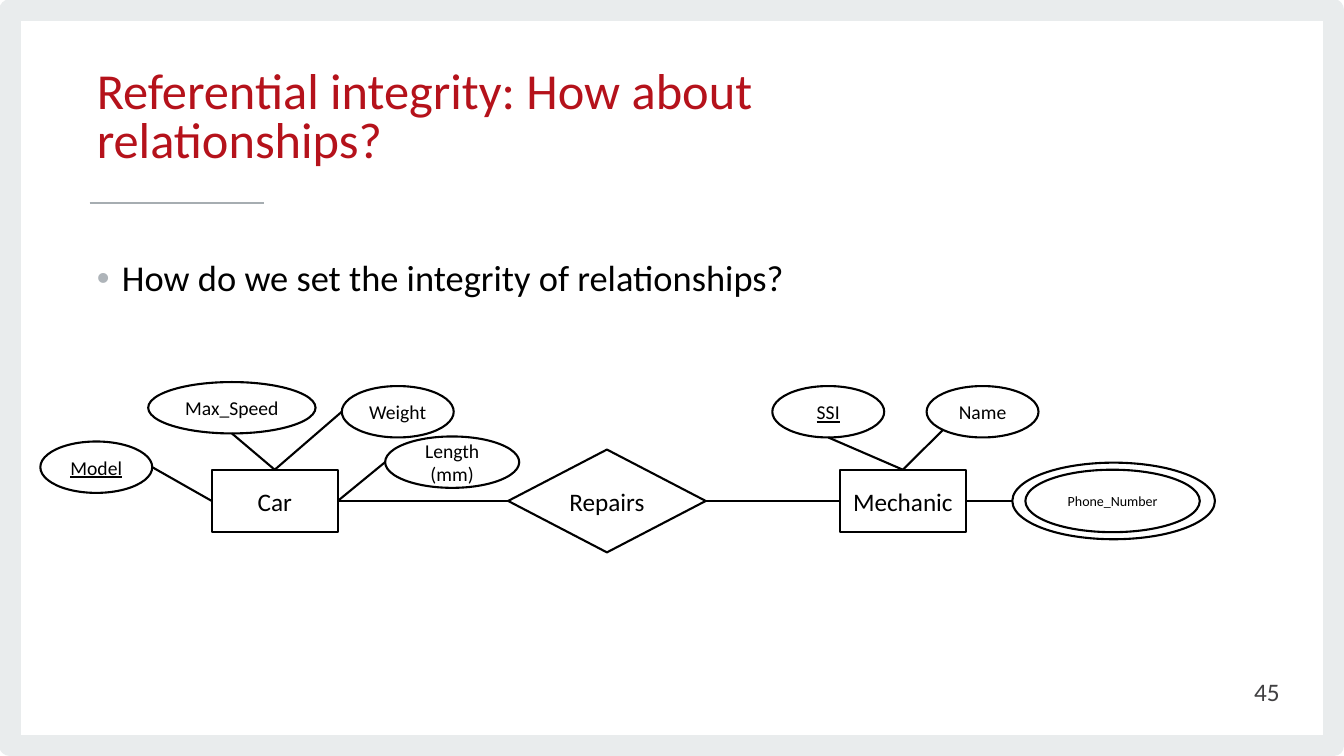
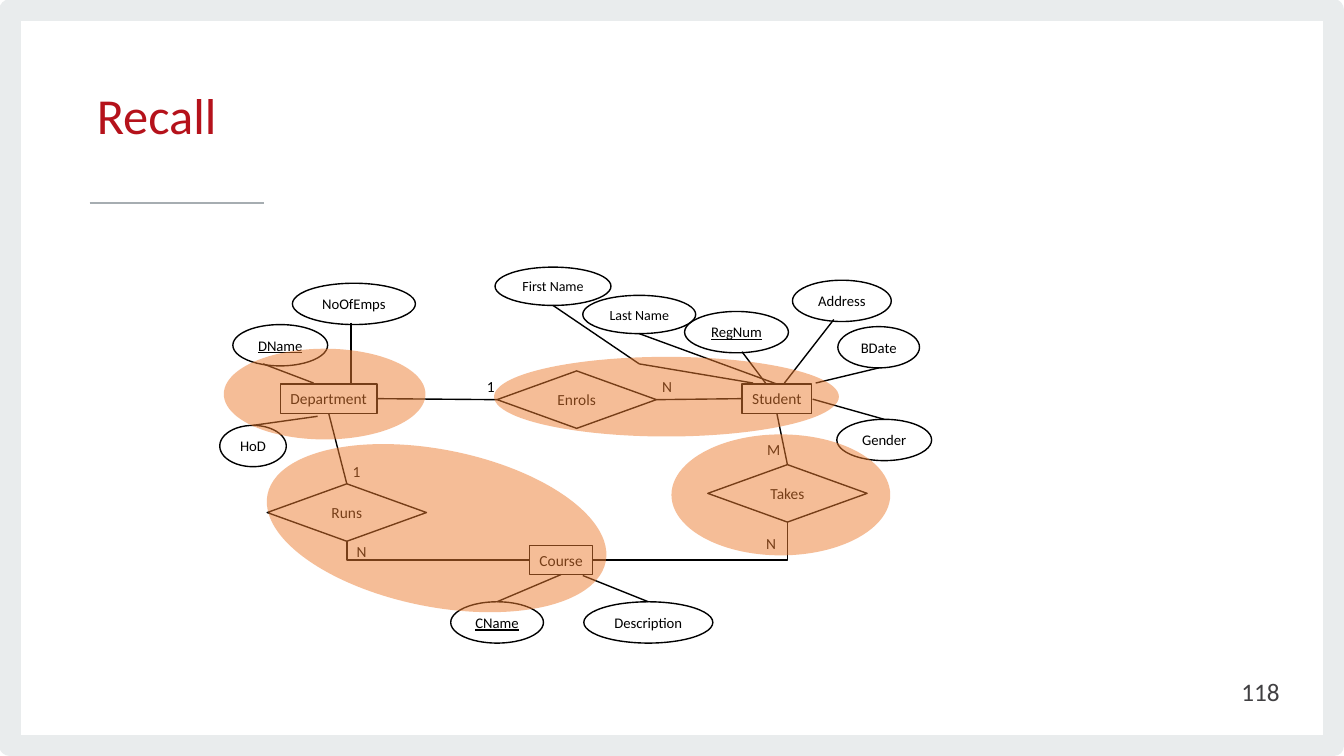
import math
from dataclasses import dataclass

from lxml import etree
from pptx import Presentation, util as u
from pptx.dml.color import RGBColor
from pptx.enum import shapes, text
from pptx.oxml.ns import qn


@dataclass(frozen=True)
class Theme:
    font: str = "Calibri"
    ink: str = "000000"
    paper: str = "FFFFFF"
    title: str = "B5121B"
    frame: str = "E9ECED"
    rule: str = "A6ADB1"
    bullet: str = "AEB4B9"
    number: str = "414042"
    highlight: str = "ED7D31"
    title_pt: float = 36
    body_pt: float = 26
    number_pt: float = 18


T = Theme()
W, H = 13.33, 7.5
TITLE_BOX = (0.86, 0.52, 9.02, 1.34)
BODY_BOX = (0.86, 2.53, 10.73, 4.22)
NUMBER_BOX = (9.79, 6.66, 3, 0.4)
KINDS = {
    "entity": shapes.MSO_SHAPE.RECTANGLE,
    "relation": shapes.MSO_SHAPE.DIAMOND,
    "decision": shapes.MSO_SHAPE.FLOWCHART_DECISION,
    "attribute": shapes.MSO_SHAPE.OVAL,
}
TOP, LEFT, BOTTOM, RIGHT = range(4)
O_TOP, O_LEFT, O_LOW_LEFT, O_BOTTOM, O_RIGHT = 0, 2, 3, 4, 6

REPAIRS = {
    "title": "Referential integrity: How about relationships?",
    "body": ["How do we set the integrity of relationships?"],
    "number": "45",
    "line_pt": 1.5,
    "fill": T.paper,
    "wrap": True,
    "sizes": {"entity": 18, "decision": 18, "attribute": 14},
    "keys": {"Model", "SSI"},
    "nodes": [
        ("decision", "Repairs", 5.04, 4.46, 1.96, 1.02),
        ("entity", "Car", 2.1, 4.66, 1.25, 0.62),
        ("entity", "Mechanic", 8.33, 4.66, 1.25, 0.62),
        ("attribute", "Model", 0.4, 4.38, 1.11, 0.51),
        ("attribute", "Weight", 3.39, 3.83, 1.11, 0.51),
        ("attribute", "Length (mm)", 3.82, 4.33, 1.33, 0.51),
        ("attribute", "Max_Speed", 1.47, 3.79, 1.66, 0.51),
        ("attribute", "SSI", 7.66, 3.83, 1.11, 0.51),
        ("attribute", "Name", 9.19, 3.83, 1.11, 0.51),
        ("attribute", "", 10.04, 4.59, 2.01, 0.76),
        ("attribute", "Phone_Number", 10.17, 4.66, 1.73, 0.62),
    ],
    "small": {"Phone_Number": 10},
    "links": [
        (("Model", O_RIGHT), ("Car", LEFT)),
        (("Max_Speed", O_BOTTOM), ("Car", TOP)),
        (("Weight", O_LEFT), ("Car", TOP)),
        (("Car", RIGHT), ("Length (mm)", O_LEFT)),
        (("SSI", O_BOTTOM), ("Mechanic", TOP)),
        (("Name", O_LOW_LEFT), ("Mechanic", TOP)),
        (("", O_LEFT), ("Mechanic", RIGHT)),
        (("Repairs", RIGHT), ("Mechanic", LEFT)),
        (("Car", RIGHT), ("Repairs", LEFT)),
    ],
}

RECALL = {
    "title": "Recall",
    "number": "118",
    "line_pt": 1,
    "fill": None,
    "wrap": False,
    "sizes": {"entity": 11, "relation": 11, "attribute": 10.5},
    "keys": {"CName", "DName", "RegNum"},
    "nodes": [
        ("entity", "Course", 5.25, 5.41, 0.63, 0.29),
        ("entity", "Department", 2.78, 3.81, 0.96, 0.29),
        ("entity", "Student", 7.36, 3.81, 0.69, 0.29),
        ("relation", "Enrols", 4.93, 3.68, 1.58, 0.57),
        ("relation", "Runs", 2.65, 4.8, 1.58, 0.57),
        ("relation", "Takes", 7.02, 4.61, 1.58, 0.57),
        ("attribute", "CName", 4.47, 5.97, 0.92, 0.41),
        ("attribute", "Description", 5.79, 5.97, 1.28, 0.41),
        ("attribute", "DName", 2.31, 3.22, 0.94, 0.41),
        ("attribute", "HoD", 2.18, 4.22, 0.66, 0.41),
        ("attribute", "NoOfEmps", 2.9, 2.81, 1.22, 0.41),
        ("attribute", "First Name", 4.91, 2.65, 1.15, 0.38),
        ("attribute", "Last Name", 5.78, 2.93, 1.12, 0.38),
        ("attribute", "RegNum", 6.79, 3.09, 1.03, 0.41),
        ("attribute", "Address", 7.86, 2.78, 0.98, 0.41),
        ("attribute", "BDate", 8.31, 3.24, 0.81, 0.41),
        ("attribute", "Gender", 8.3, 4.16, 0.94, 0.41),
    ],
    "small": {"First Name": 10, "Last Name": 10},
    "links": [
        (("Department", RIGHT), ("Enrols", LEFT)),
        (("Enrols", RIGHT), ("Student", LEFT)),
        (("Department", BOTTOM), ("Runs", TOP)),
        (("Student", BOTTOM), ("Takes", TOP)),
        (("CName", O_TOP), ("Course", BOTTOM)),
        ((5.78, 5.71), ("Description", O_TOP)),
        ((2.61, 3.61), (3.11, 3.8)),
        ((3.48, 3.2), (3.48, 3.8)),
        (("HoD", O_TOP), (3.15, 4.13)),
        (("First Name", O_BOTTOM), (6.34, 3.61)),
        ((6.34, 3.61), (7.47, 3.8)),
        (("Student", TOP), ("Last Name", O_BOTTOM)),
        ((7.36, 3.49), (7.6, 3.81)),
        ((8.27, 3.17), (7.78, 3.8)),
        (("BDate", O_BOTTOM), (8.09, 3.8)),
        (("Gender", O_TOP), (8.06, 3.96)),
    ],
    "bends": [
        (("Course", LEFT), ("Runs", BOTTOM)),
        (("Course", RIGHT), ("Takes", BOTTOM)),
    ],
    "counts": [
        ("1", 4.73, 3.69), ("N", 6.47, 3.69), ("1", 3.4, 4.53),
        ("N", 3.44, 5.32), ("M", 7.51, 4.31), ("N", 7.5, 5.24),
    ],
    "highlights": [
        (4.9, 3.54, 3.42, 0.79, 0),
        (6.66, 4.31, 2.17, 1.2, 0),
        (2.62, 4.46, 3.42, 1.56, 11.2),
        (2.22, 3.46, 2, 0.9, 0),
    ],
}


def inches(*values):
    return [u.Inches(v) for v in values]


def rgb(value):
    return RGBColor.from_string(value)


def write(sp, *lines, size, color=T.ink, align="CENTER", anchor="MIDDLE",
          wrap=True, underline=None, leading=None, before=None):
    tf = sp.text_frame
    tf.auto_size = text.MSO_AUTO_SIZE.NONE
    tf.word_wrap = wrap
    tf.vertical_anchor = getattr(text.MSO_ANCHOR, anchor)
    for i, line in enumerate(lines):
        p = tf.add_paragraph() if i else tf.paragraphs[0]
        p.alignment = getattr(text.PP_ALIGN, align)
        if leading:
            p.line_spacing = leading
        if before is not None:
            p.space_before = u.Pt(before)
        r = p.add_run()
        r.text = line
        f = r.font
        f.name, f.size, f.underline = T.font, u.Pt(size), underline
        f.color.rgb = rgb(color)
    return tf


def place(sp, box):
    sp.left, sp.top, sp.width, sp.height = inches(*box)


def outline(sp, color, pt):
    sp.line.color.rgb = rgb(color)
    sp.line.width = u.Pt(pt)


def add_shape(s, kind, box, fill=None):
    sp = s.shapes.add_shape(kind, *inches(*box))
    sp.shadow.inherit = False
    if fill:
        sp.fill.solid()
        sp.fill.fore_color.rgb = rgb(fill)
    else:
        sp.fill.background()
    return sp


def add_line(s, start, end, color, pt, bent=False):
    kind = shapes.MSO_CONNECTOR.ELBOW if bent else shapes.MSO_CONNECTOR.STRAIGHT
    line = s.shapes.add_connector(kind, *inches(*start, *end))
    outline(line, color, pt)
    pr = line.element.spPr
    etree.SubElement(pr, qn("a:effectLst"))
    if bent:
        pr.find(qn("a:prstGeom")).set("prst", "bentConnector2")
    return line


def dress_master(prs, s):
    inset = 0.1
    frame = add_shape(s, KINDS["entity"], (inset, inset, W - 2 * inset, H - 2 * inset))
    outline(frame, T.frame, 15.11)
    etree.SubElement(frame.element.spPr.find(qn("a:ln")), qn("a:round"))
    rule = add_line(s, (0.89, 2.01), (2.62, 2.01), T.rule, 1.33)
    for part in (frame, rule):
        prs.slide_master.shapes.element.append(part.element)


def add_bullets(sp, lines):
    place(sp, BODY_BOX)
    tf = write(sp, *lines, size=T.body_pt, align="LEFT", anchor="TOP",
               leading=0.9, before=10)
    for p in tf.paragraphs:
        pr = p.alignment is not None and p._p.get_or_add_pPr()
        pr.set("marL", str(u.Inches(0.25)))
        pr.set("indent", str(-u.Inches(0.25)))
        color = etree.SubElement(pr, qn("a:buClr"))
        etree.SubElement(color, qn("a:srgbClr"), val=T.bullet)
        etree.SubElement(pr, qn("a:buFont"), typeface="Arial")
        etree.SubElement(pr, qn("a:buChar"), char="•")


def site(node, index):
    kind, _, x, y, w, h = node
    turn = math.radians(90 + index * (45 if kind == "attribute" else 90))
    return x + w / 2 * (1 + math.cos(turn)), y + h / 2 * (1 - math.sin(turn))


def add_diagram(s, data):
    nodes = {node[1]: node for node in data["nodes"]}
    drawn = {}
    for kind, name, *box in data["nodes"]:
        hollow = kind == "decision" or name in ("", "Phone_Number")
        sp = add_shape(s, KINDS[kind], box, None if hollow else data["fill"])
        outline(sp, T.ink, data["line_pt"])
        if name:
            write(sp, name, size=data["small"].get(name, data["sizes"][kind]),
                  wrap=data["wrap"], underline=name in data["keys"] or None)
        drawn[name] = sp

    for group in ("links", "bends"):
        for ends in data.get(group, []):
            points = [site(nodes[e[0]], e[1]) if e[0] in nodes else e for e in ends]
            line = add_line(s, *points, T.ink, data["line_pt"], group == "bends")
            for end, join in zip(ends, (line.begin_connect, line.end_connect)):
                if end[0] in nodes and nodes[end[0]][0] != "attribute":
                    join(drawn[end[0]], end[1])

    for count, x, y in data.get("counts", []):
        sp = s.shapes.add_textbox(*inches(x, y, 0.3, 0.29))
        write(sp, count, size=data["sizes"]["entity"], align="LEFT", wrap=False)

    for *box, angle in data.get("highlights", []):
        sp = add_shape(s, KINDS["attribute"], box, T.highlight)
        sp.line.fill.background()
        sp.rotation = angle
        color = sp.element.spPr.find(qn("a:solidFill"))[0]
        etree.SubElement(color, qn("a:alpha"), val="50000")


def add_slide(prs, data):
    layout = prs.slide_layouts.get_by_name(
        "Title and Content" if "body" in data else "Title Only")
    s = prs.slides.add_slide(layout)
    place(s.shapes.title, TITLE_BOX)
    write(s.shapes.title, data["title"], size=T.title_pt, color=T.title,
          align="LEFT", leading=u.Pt(34.7), before=7.5)
    if "body" in data:
        add_bullets(s.placeholders[1], data["body"])
    write(s.shapes.add_textbox(*inches(*NUMBER_BOX)), data["number"],
          size=T.number_pt, color=T.number, align="RIGHT")
    add_diagram(s, data)
    return s


def main():
    prs = Presentation()
    prs.slide_width, prs.slide_height = inches(W, H)
    made = [add_slide(prs, data) for data in (REPAIRS, RECALL)]
    dress_master(prs, made[0])
    prs.save("out.pptx")


if __name__ == "__main__":
    main()
